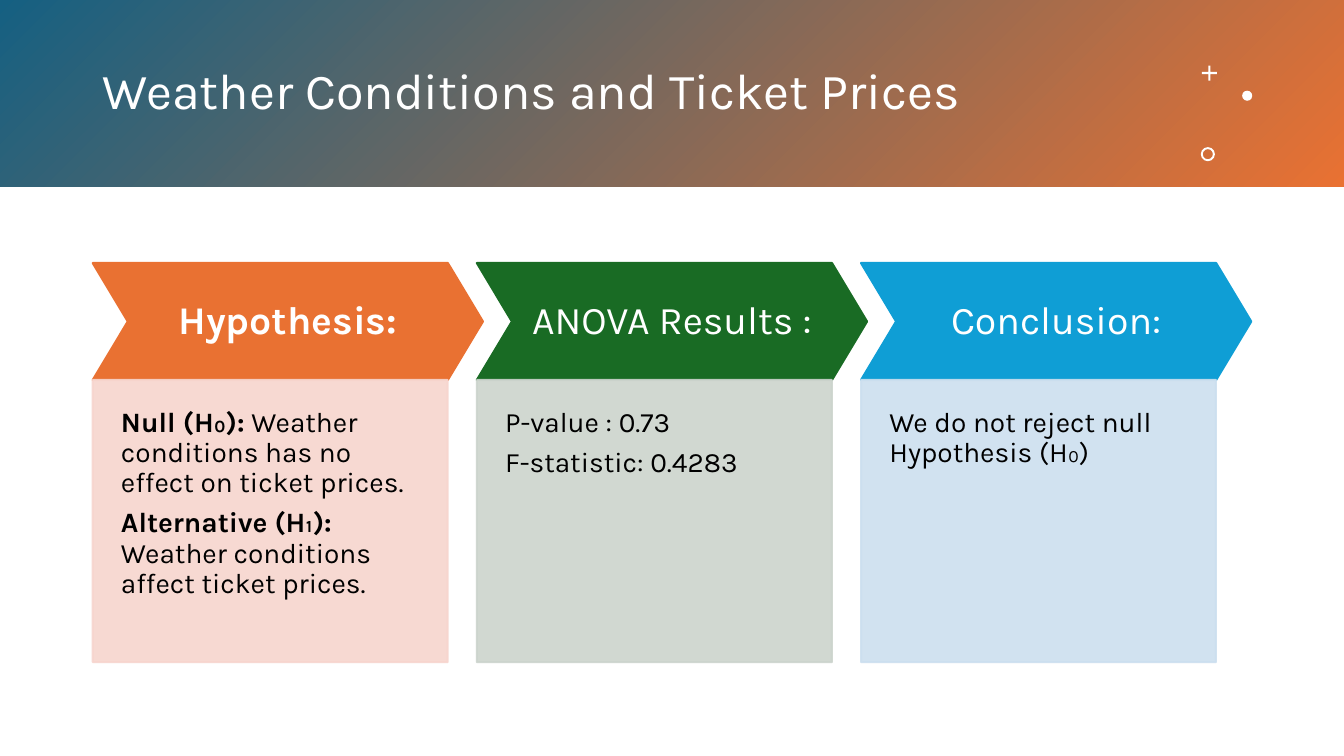
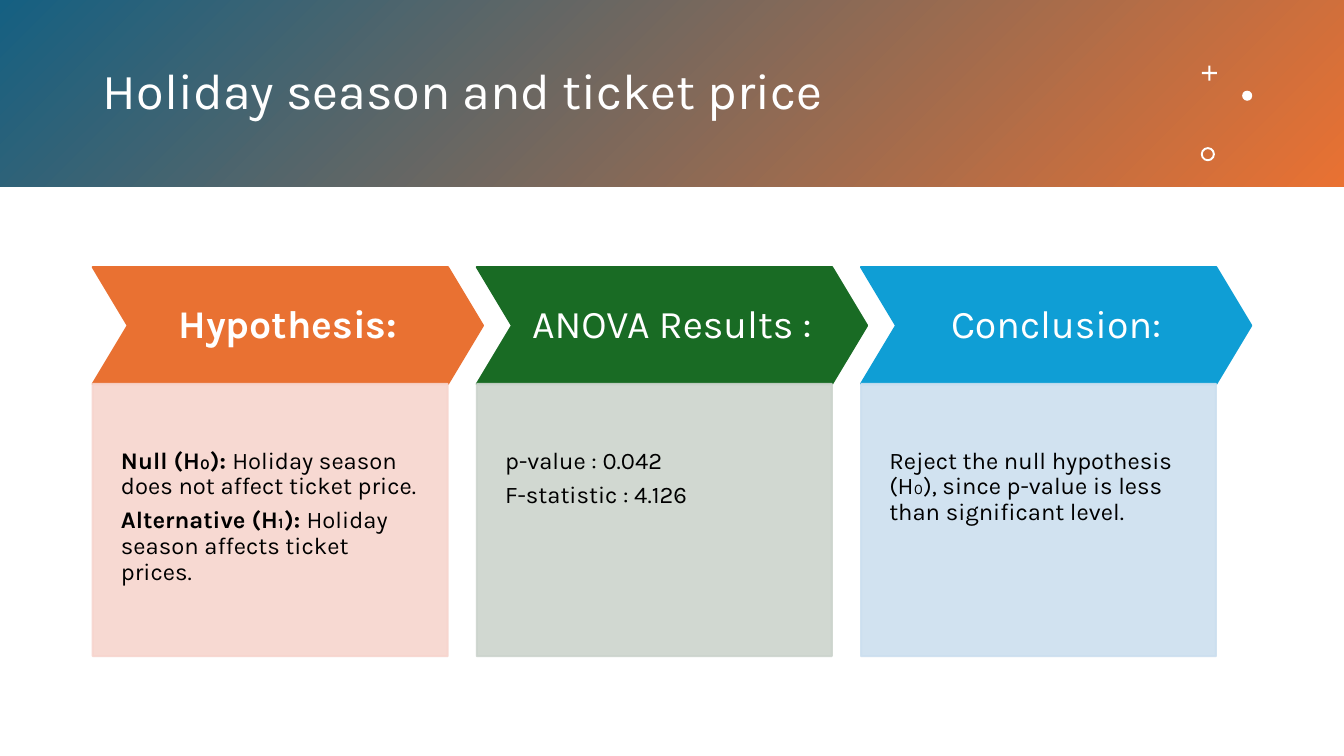
from dataclasses import dataclass

from lxml.etree import SubElement
from pptx import Presentation
from pptx.dml.color import RGBColor
from pptx.enum.shapes import MSO_SHAPE as Preset
from pptx.enum.text import MSO_ANCHOR as Anchor, MSO_AUTO_SIZE as AutoSize, PP_ALIGN as Align
from pptx.oxml.ns import qn
from pptx.shapes.autoshape import Shape
from pptx.slide import Slide
from pptx.text.text import _Paragraph as Paragraph, _Run as Run
from pptx.util import Inches, Pt


@dataclass(frozen=True)
class Theme:
    font: str = "Karla"
    band_start: str = "156082"
    band_end: str = "E97132"
    light: str = "FFFFFF"
    dark: str = "000000"
    title_size: int = 36
    heading_size: int = 28
    line_width: float = 1.5
    panel_opacity: int = 90
    line_spacing: float = 0.9
    space_after: float = 0.35


@dataclass(frozen=True)
class Mark:
    preset: Preset
    left: float
    top: float
    size: float
    adjustment: float | None = None


@dataclass(frozen=True)
class Stage:
    heading: str
    color: str
    tint: str
    bold: bool = False


@dataclass(frozen=True)
class Statement:
    text: str
    label: str = ""


@dataclass(frozen=True)
class Test:
    title: str
    top: float
    panel_height: float
    panel_inset: float
    text_size: int
    findings: tuple[tuple[Statement, ...], ...]


THEME = Theme()
SLIDE_WIDTH, SLIDE_HEIGHT = 13.33, 7.5
BAND_HEIGHT = 1.85
STAGE_LEFT, STAGE_PITCH = 0.92, 3.81
CHEVRON_WIDTH, CHEVRON_HEIGHT, CHEVRON_POINT = 3.87, 1.16, 0.3
PANEL_WIDTH = 3.52
HEADING_INSET = 0.14
PANEL_SIDE, PANEL_BOTTOM = 0.28, 0.56

MARKS = (
    Mark(Preset.CROSS, 11.92, 0.65, 0.15, 0.43),
    Mark(Preset.OVAL, 12.32, 0.9, 0.1),
    Mark(Preset.DONUT, 11.91, 1.46, 0.14, 0.14),
)

STAGES = (
    Stage("Hypothesis:", "E97132", "F7D5CE", bold=True),
    Stage("ANOVA Results :", "196B24", "CCD4CD"),
    Stage("Conclusion:", "0F9ED5", "CCDFEF"),
)

TESTS = (
    Test(
        "Weather Conditions and Ticket Prices", 2.61, 2.8, 0.28, 20,
        (
            (
                Statement(" Weather conditions has no effect on ticket prices.", "Null (H₀):"),
                Statement(" Weather conditions affect ticket prices.", "Alternative (H₁):"),
            ),
            (Statement("P-value : 0.73"), Statement("F-statistic: 0.4283")),
            (Statement("We do not reject null Hypothesis (H₀)"),),
        ),
    ),
    Test(
        "Holiday season and ticket price", 2.65, 2.7, 0.64, 17,
        (
            (
                Statement("Holiday season does not affect ticket price.", "Null (H₀): "),
                Statement("Holiday season affects ticket prices.", "Alternative (H₁): "),
            ),
            (Statement("p-value : 0.042"), Statement("F-statistic : 4.126")),
            (Statement("Reject the null hypothesis (H₀), since p-value is less than significant level."),),
        ),
    ),
)


def rgb(color: str) -> RGBColor:
    return RGBColor.from_string(color)


def style_run(run: Run, size: int, color: str, bold: bool = False) -> None:
    run.font.name = THEME.font
    run.font.size = Pt(size)
    run.font.bold = bold
    run.font.color.rgb = rgb(color)


def style_paragraph(paragraph: Paragraph, align: Align, size: int, after: float) -> None:
    paragraph.alignment = align
    paragraph.line_spacing = THEME.line_spacing
    paragraph.space_before = Pt(0)
    paragraph.space_after = Pt(round(size * after))


def add_plain_shape(slide: Slide, preset: Preset, left: float, top: float,
                    width: float, height: float) -> Shape:
    shape = slide.shapes.add_shape(preset, Inches(left), Inches(top), Inches(width), Inches(height))
    shape.shadow.inherit = False
    shape.line.fill.background()
    return shape


def paint(shape: Shape, color: str, opacity: int = 100) -> None:
    shape.fill.solid()
    shape.fill.fore_color.rgb = rgb(color)
    shape.line.color.rgb = rgb(color)
    shape.line.width = Pt(THEME.line_width)
    if opacity < 100:
        for swatch in shape._element.spPr.iter(qn("a:srgbClr")):
            SubElement(swatch, qn("a:alpha")).set("val", str(opacity * 1000))


def set_frame(shape: Shape, anchor: Anchor, left: float, top: float, right: float, bottom: float) -> None:
    frame = shape.text_frame
    frame.word_wrap = True
    frame.auto_size = AutoSize.NONE
    frame.vertical_anchor = anchor
    frame.margin_left, frame.margin_top = Inches(left), Inches(top)
    frame.margin_right, frame.margin_bottom = Inches(right), Inches(bottom)


def add_header(slide: Slide, text: str) -> None:
    band = add_plain_shape(slide, Preset.RECTANGLE, 0, 0, SLIDE_WIDTH, BAND_HEIGHT)
    band.fill.gradient()
    band.fill.gradient_angle = 315
    for stop, color, position in zip(band.fill.gradient_stops, (THEME.band_start, THEME.band_end), (0, 1)):
        stop.color.rgb = rgb(color)
        stop.position = position

    title = slide.shapes.title
    slide.shapes._spTree.append(title._element)
    title.left, title.top = Inches(0.92), Inches(0.33)
    title.width, title.height = Inches(10.75), Inches(1.19)
    set_frame(title, Anchor.MIDDLE, 0.1, 0.05, 0.1, 0.05)
    title.text_frame.text = text
    paragraph = title.text_frame.paragraphs[0]
    style_paragraph(paragraph, Align.LEFT, THEME.title_size, 0)
    style_run(paragraph.runs[0], THEME.title_size, THEME.light)

    for mark in MARKS:
        ornament = add_plain_shape(slide, mark.preset, mark.left, mark.top, mark.size, mark.size)
        ornament.fill.solid()
        ornament.fill.fore_color.rgb = rgb(THEME.light)
        if mark.adjustment is not None:
            ornament.adjustments[0] = mark.adjustment


def add_heading(slide: Slide, stage: Stage, left: float, top: float) -> None:
    chevron = add_plain_shape(slide, Preset.CHEVRON, left, top, CHEVRON_WIDTH, CHEVRON_HEIGHT)
    chevron.adjustments[0] = CHEVRON_POINT
    paint(chevron, stage.color)
    set_frame(chevron, Anchor.MIDDLE, *[HEADING_INSET] * 4)
    chevron.text_frame.text = stage.heading
    paragraph = chevron.text_frame.paragraphs[0]
    style_paragraph(paragraph, Align.CENTER, THEME.heading_size, THEME.space_after)
    style_run(paragraph.runs[0], THEME.heading_size, THEME.light, stage.bold)


def add_panel(slide: Slide, stage: Stage, test: Test, statements: tuple[Statement, ...], left: float) -> None:
    panel = add_plain_shape(slide, Preset.RECTANGLE, left, test.top + CHEVRON_HEIGHT,
                            PANEL_WIDTH, test.panel_height)
    paint(panel, stage.tint, THEME.panel_opacity)
    set_frame(panel, Anchor.TOP, PANEL_SIDE, test.panel_inset, PANEL_SIDE, PANEL_BOTTOM)
    frame = panel.text_frame
    for index, statement in enumerate(statements):
        paragraph = frame.add_paragraph() if index else frame.paragraphs[0]
        style_paragraph(paragraph, Align.LEFT, test.text_size, THEME.space_after)
        for text, bold in ((statement.label, True), (statement.text, False)):
            if text:
                run = paragraph.add_run()
                run.text = text
                style_run(run, test.text_size, THEME.dark, bold)


def main() -> None:
    deck = Presentation()
    deck.slide_width, deck.slide_height = Inches(SLIDE_WIDTH), Inches(SLIDE_HEIGHT)
    title_only = deck.slide_layouts[5]
    for test in TESTS:
        slide = deck.slides.add_slide(title_only)
        add_header(slide, test.title)
        for column, (stage, statements) in enumerate(zip(STAGES, test.findings)):
            left = STAGE_LEFT + column * STAGE_PITCH
            add_heading(slide, stage, left, test.top)
            add_panel(slide, stage, test, statements, left)
    deck.save("out.pptx")


if __name__ == "__main__":
    main()
